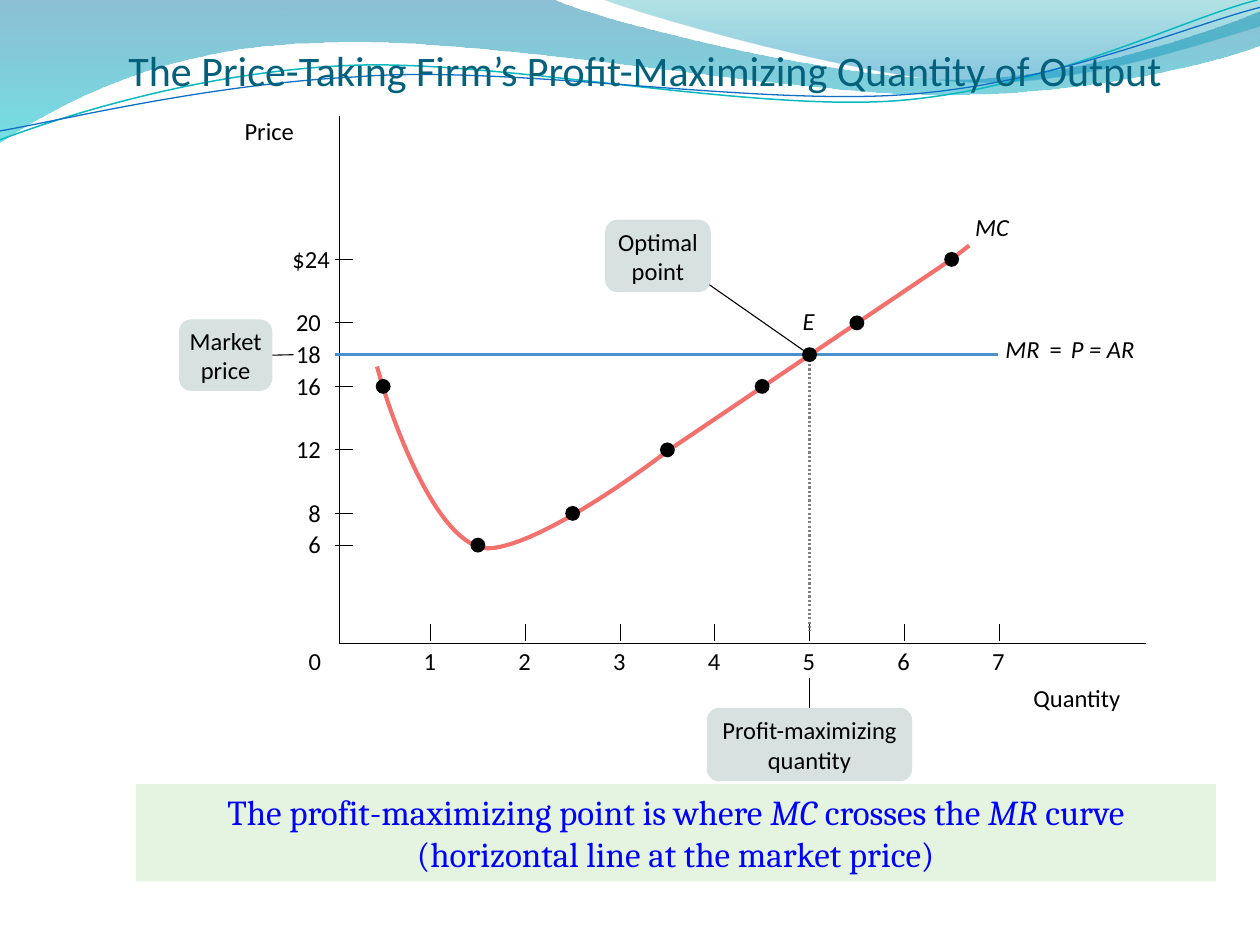
from dataclasses import dataclass

from lxml import etree
from pptx import Presentation
from pptx.dml.color import RGBColor
from pptx.enum.dml import MSO_LINE
from pptx.enum.shapes import MSO_CONNECTOR, MSO_SHAPE
from pptx.enum.text import MSO_ANCHOR, PP_ALIGN
from pptx.oxml.ns import qn
from pptx.util import Cm, Pt

LEFT, CENTER, RIGHT = PP_ALIGN.LEFT, PP_ALIGN.CENTER, PP_ALIGN.RIGHT
MIDDLE, BOTTOM = MSO_ANCHOR.MIDDLE, MSO_ANCHOR.BOTTOM
RECTANGLE, ROUNDED, OVAL = MSO_SHAPE.RECTANGLE, MSO_SHAPE.ROUNDED_RECTANGLE, MSO_SHAPE.OVAL
STRAIGHT = MSO_CONNECTOR.STRAIGHT
DOTTED = MSO_LINE.ROUND_DOT
TOP_SITE, RIGHT_SITE = 0, 3


@dataclass(frozen=True)
class Theme:
    font: str = "Calibri"
    summary_font: str = "Cambria"
    title_size: Pt = Pt(24)
    summary_size: Pt = Pt(20)
    label_size: Pt = Pt(14)
    title: RGBColor = RGBColor.from_string("04617B")
    summary: RGBColor = RGBColor.from_string("0000FF")
    summary_fill: RGBColor = RGBColor.from_string("E5F4E0")
    ink: RGBColor = RGBColor.from_string("000000")
    callout: RGBColor = RGBColor.from_string("D7E2E0")
    marginal_cost: RGBColor = RGBColor.from_string("F3716D")
    marginal_revenue: RGBColor = RGBColor.from_string("4B8FCC")
    guide: RGBColor = RGBColor.from_string("808080")
    teal_line: RGBColor = RGBColor.from_string("0AB8BF")
    blue_line: RGBColor = RGBColor.from_string("0F6FC6")
    wave_blue: RGBColor = RGBColor.from_string("0074A1")
    wave_cyan: RGBColor = RGBColor.from_string("00C6CF")
    crest_teal: RGBColor = RGBColor.from_string("00A1A9")
    crest_blue: RGBColor = RGBColor.from_string("008BBF")


theme = Theme()
deck = Presentation()
deck.slide_width, deck.slide_height = Cm(25.4), Cm(19.05)
page = deck.slides.add_slide(deck.slide_layouts[5])
shapes = page.shapes


def trace(start, segments, closed=False):
    """Draw a freeform in cm; a segment is one point (straight) or three (cubic Bezier)."""
    builder = shapes.build_freeform(Cm(start[0]), Cm(start[1]))
    points = [(Cm(x), Cm(y)) for segment in segments for x, y in segment]
    builder.add_line_segments(points, close=closed)
    outline = builder.convert_to_shape()
    outline.shadow.inherit = False
    steps = iter(list(outline.element.iter(qn("a:lnTo"))))
    for segment in segments:
        first, *others = [next(steps) for _ in segment]
        if others:
            first.tag = qn("a:cubicBezTo")
            for other in others:
                first.append(other[0])
                other.getparent().remove(other)
    return outline


def add_label(text, left, top, width, height=0.47, align=LEFT, italic=False):
    box = shapes.add_textbox(Cm(left), Cm(top), Cm(width), Cm(height))
    frame = box.text_frame
    frame.margin_left = frame.margin_right = frame.margin_top = frame.margin_bottom = 0
    frame.word_wrap = False
    para = frame.paragraphs[0]
    para.text, para.alignment = text, align
    para.font.name, para.font.size = theme.font, theme.label_size
    para.font.color.rgb, para.font.italic = theme.ink, italic


# Header waves: start, segments, two stops of (position, colour, opacity)
waves = [
    ((0, 0), [[(11.18, 0)],
              [(12.09, 0.43), (16.87, 1.6), (19.25, 1.6)],
              [(21.67, 1.6), (24.33, 0.66), (25.4, 0.23)],
              [(25.4, 0.91)],
              [(24.97, 1.12), (22.1, 1.93), (18.95, 1.91)],
              [(15.8, 1.91), (9.7, 0.71), (6.53, 0.86)],
              [(3.28, 0.91), (1.17, 2.11), (0, 2.87)]],
     [(0, theme.wave_blue, 45), (1, theme.wave_cyan, 55)]),
    ((12.17, 0), [[(12.93, 0.3), (17.32, 1.57), (19.53, 1.65)],
                  [(21.74, 1.75), (24.41, 0.81), (25.4, 0.53)],
                  [(25.4, 0)]],
     [(0, theme.crest_teal, 30), (0.8, theme.crest_blue, 45)]),
]
for start, segments, stops in waves:
    wave = trace(start, segments, closed=True)
    wave.line.fill.background()
    wave.fill.gradient()
    wave.fill.gradient_angle = 270
    for stop, (position, colour, _) in zip(wave.fill.gradient_stops, stops):
        stop.position, stop.color.rgb = position, colour
    for colour_node, (_, _, opacity) in zip(wave.element.iter(qn("a:srgbClr")), stops):
        etree.SubElement(colour_node, qn("a:alpha"), val=str(opacity * 1000))

# Open curves: header lines, marginal cost and the axes
curves = [
    ((0, 2.82), [[(1.22, 2.36), (4.01, 1.45), (7.04, 1.32)],
                 [(10.03, 1.19), (15.06, 2.26), (18.11, 2.03)],
                 [(21.16, 1.78), (23.83, 0.38), (25.35, 0)]], theme.teal_line, 0.85),
    ((0, 2.64), [[(1.19, 2.44), (4.17, 1.7), (7.19, 1.55)],
                 [(10.24, 1.3), (15.16, 2.13), (18.21, 1.91)],
                 [(21.23, 1.7), (23.9, 0.53), (25.4, 0.15)]], theme.blue_line, 0.75),
    ((7.6, 7.39), [[(7.72, 7.8)],
                   [(7.72, 7.8), (8.74, 11.2), (9.93, 11.05)],
                   [(11.13, 10.9), (13.46, 9.09), (13.46, 9.09)],
                   [(19.18, 5.23)], [(19.54, 4.95)]], theme.marginal_cost, 2.38),
    ((23.11, 12.97), [[(6.85, 12.97)], [(6.85, 2.33)]], theme.ink, 0.63),
]
for start, segments, colour, width in curves:
    curve = trace(start, segments)
    curve.fill.background()
    curve.line.color.rgb, curve.line.width = colour, Pt(width)

title = shapes.title
title.left, title.top, title.width, title.height = Cm(2.59), Cm(0.22), Cm(22.1), Cm(1.7)
frame = title.text_frame
frame.margin_left = frame.margin_right = frame.margin_bottom = 0
frame.vertical_anchor = BOTTOM
para = frame.paragraphs[0]
para.text, para.alignment = "The Price-Taking Firm’s Profit-Maximizing Quantity of Output", LEFT
para.font.name, para.font.size, para.font.color.rgb = theme.font, theme.title_size, theme.title
shapes.element.append(title.element)  # in front of the waves

# Chart scales in cm
quantity_x = [6.77 + 1.91 * quantity for quantity in range(8)]
price_y = {price: 12.91 - 0.32 * price for price in (24, 20, 18, 16, 12, 8, 6)}
optimum_x, market_y = quantity_x[5], price_y[18]

callouts = {}
for text, left, top, width, height in [
    ("Profit-maximizing quantity", optimum_x - 2.07, 14.27, 4.14, 1.48),
    ("Optimal point", 12.2, 4.43, 2.13, 1.46),
    ("Market price", 3.61, market_y - 0.71, 1.88, 1.44),
]:
    callout = shapes.add_shape(ROUNDED, Cm(left), Cm(top), Cm(width), Cm(height))
    callout.adjustments[0] = 0.17
    callout.shadow.inherit = False
    callout.fill.solid()
    callout.fill.fore_color.rgb = theme.callout
    callout.line.fill.background()
    frame = callout.text_frame
    frame.word_wrap, frame.vertical_anchor = True, MIDDLE
    frame.margin_left = frame.margin_right = Cm(0.08)
    frame.margin_top = frame.margin_bottom = 0
    para = frame.paragraphs[0]
    para.text, para.alignment = text, CENTER
    para.font.name, para.font.size, para.font.color.rgb = theme.font, theme.label_size, theme.ink
    callouts[text] = callout

# Straight lines: ends, colour, width, dash, callout side joined at the start
thin = (theme.ink, 0.63, None)
lines = [(6.76, y, 7.11, y, *thin, None) for y in price_y.values()]
lines += [(x, 12.93, x, 12.57, *thin, None) for x in quantity_x[1:]]
lines += [
    (6.76, market_y, 20.12, market_y, theme.marginal_revenue, 1.75, None, None),
    (14.3, 5.74, optimum_x, market_y, *thin, None),
    (optimum_x, 14.27, optimum_x, 13.67, *thin, ("Profit-maximizing quantity", TOP_SITE)),
    (5.49, market_y, 5.92, market_y, *thin, ("Market price", RIGHT_SITE)),
    (optimum_x, 7.34, optimum_x, 12.73, theme.guide, 1.25, DOTTED, None),
]
for x1, y1, x2, y2, colour, width, dash, joint in lines:
    line = shapes.add_connector(STRAIGHT, Cm(x1), Cm(y1), Cm(x2), Cm(y2))
    line.line.color.rgb, line.line.width = colour, Pt(width)
    if dash:
        line.line.dash_style = dash
    if joint:
        line.begin_connect(callouts[joint[0]], joint[1])
    etree.SubElement(line.element.spPr, qn("a:effectLst"))

cost_points = [(0.5, 16), (1.5, 6), (2.5, 8), (3.5, 12), (4.5, 16), (5, 18), (5.5, 20), (6.5, 24)]
for quantity, price in cost_points:
    x = quantity_x[0] + 1.91 * quantity
    dot = shapes.add_shape(OVAL, Cm(x - 0.15), Cm(price_y[price] - 0.15), Cm(0.3), Cm(0.3))
    dot.shadow.inherit = False
    dot.fill.solid()
    dot.fill.fore_color.rgb = theme.ink
    dot.line.fill.background()

for price, y in price_y.items():
    text, right = ("$24", 6.65) if price == 24 else (str(price), 6.47)
    width = 0.27 * len(text)
    add_label(text, right - width, y - 0.32, width, align=RIGHT)
add_label("0", 6.22, 13.03, 0.27)
for quantity, x in enumerate(quantity_x[1:], 1):
    add_label(str(quantity), x - 0.14, 13.03, 0.27)

add_label("Price", 4.01, 2.33, 2.84, 0.6, align=CENTER)
add_label("Quantity", 20.15, 13.76, 3.12, 0.6, align=CENTER)
add_label("MC", 19.66, 4.27, 0.79, 0.6, italic=True)
add_label("MR", 20.27, 6.73, 0.79, 0.6, italic=True)
add_label("=", 21.16, 6.73, 0.3)
add_label("P = AR", 21.59, 6.73, 1.58, 0.6, italic=True)
add_label("E", 16.18, 6.17, 0.33, 0.6, italic=True)

summary = shapes.add_shape(RECTANGLE, Cm(2.74), Cm(15.81), Cm(21.77), Cm(1.96))
summary.shadow.inherit = False
summary.fill.solid()
summary.fill.fore_color.rgb = theme.summary_fill
summary.line.fill.background()
frame = summary.text_frame
frame.word_wrap = True
sentences = [
    [("The profit-maximizing point is where ", False), ("MC ", True), ("crosses the ", False),
     ("MR", True), (" curve", False)],
    [("(horizontal line at the market price)", False)],
]
for index, spans in enumerate(sentences):
    para = frame.add_paragraph() if index else frame.paragraphs[0]
    para.alignment = CENTER
    para.font.name, para.font.size = theme.summary_font, theme.summary_size
    para.font.color.rgb = theme.summary
    for text, italic in spans:
        span = para.add_run()
        span.text, span.font.italic = text, italic

deck.save("out.pptx")
